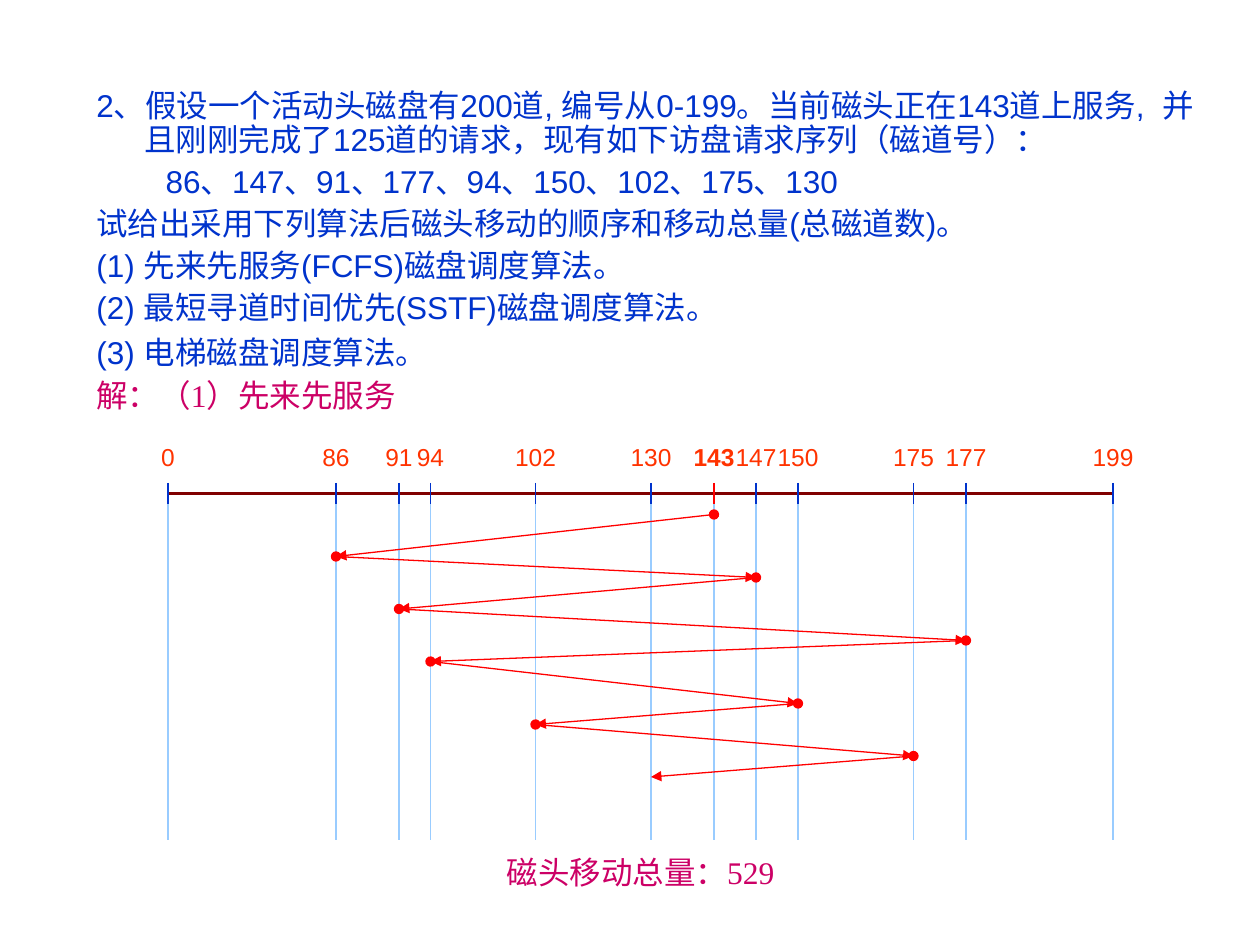
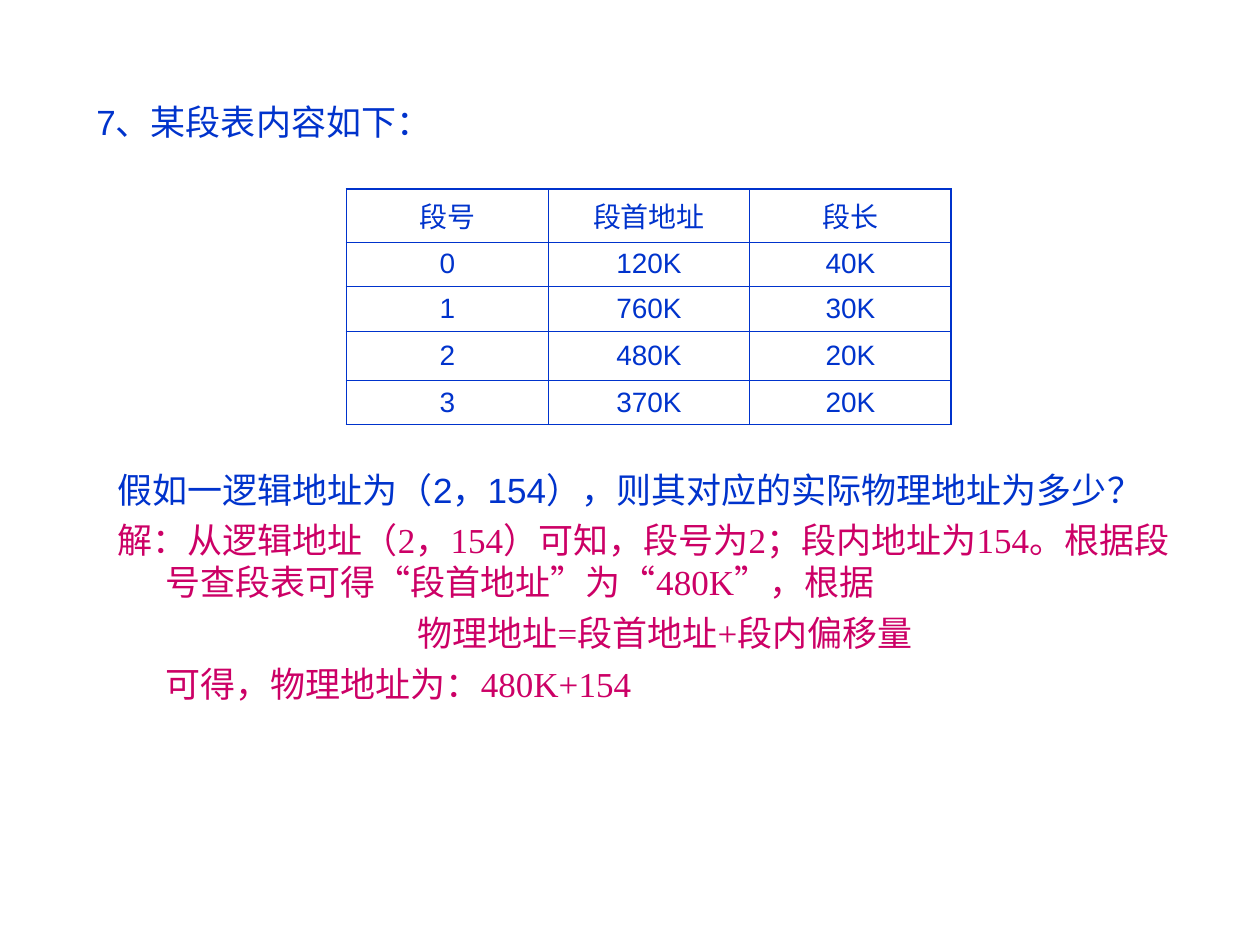
from dataclasses import dataclass
from itertools import pairwise

from lxml.etree import SubElement
from pptx import Presentation
from pptx.dml.color import RGBColor
from pptx.enum.shapes import MSO_CONNECTOR as Connector
from pptx.enum.text import MSO_ANCHOR as Anchor, PP_ALIGN as Align
from pptx.oxml import parse_xml
from pptx.oxml.ns import nsdecls, qn
from pptx.util import Emu, Inches, Pt

CELL = Inches(1) // 12  # the slide is a grid of 120 columns by 90 rows


@dataclass(frozen=True)
class Theme:
    question: str = "0033CC"
    answer: str = "CC0066"
    track_label: str = "FF3300"
    axis: str = "800000"
    guide: str = "99CCFF"
    head_move: str = "FF0000"
    question_font: str = "Arial"
    answer_font: str = "Times New Roman"
    large: int = 20
    body: int = 18
    table: int = 16
    label: int = 14
    hanging: float = 0.38
    cell_margin: float = 0.04
    hairline: float = 0.45
    thin: float = 0.75
    frame: float = 1.08
    thick: float = 2.25


THEME = Theme()
QUESTION = dict(color=THEME.question, font=THEME.question_font)
ANSWER = dict(color=THEME.answer, font=THEME.answer_font)


def grid(*cells):
    return [Emu(round(cell * CELL)) for cell in cells]


def write(paragraph, text, size, color, font, bold=False, align=Align.LEFT,
          margin=0, indent=0, before=0, spacing=1.0):
    properties = paragraph._p.get_or_add_pPr()
    properties.set("marL", str(Inches(margin)))
    properties.set("indent", str(Inches(indent)))
    properties.set("hangingPunct", "0")
    paragraph.alignment = align
    paragraph.space_before = Pt(before)
    paragraph.line_spacing = spacing
    run = paragraph.add_run()
    run.text = text
    run.font.size, run.font.name, run.font.bold = Pt(size), font, bold
    run.font.color.rgb = RGBColor.from_string(color)


def add_frame(slide, box, wrap=True, anchor=Anchor.TOP):
    frame = slide.shapes.add_textbox(*grid(*box)).text_frame
    frame.word_wrap = wrap
    frame.vertical_anchor = anchor
    return frame


def add_passage(slide, box, passages, **shared):
    """Fill a box with hanging paragraphs given as (text, format) pairs."""
    frame = add_frame(slide, box)
    hanging = dict(margin=THEME.hanging, indent=-THEME.hanging)
    for number, (text, special) in enumerate(passages):
        paragraph = frame.add_paragraph() if number else frame.paragraphs[0]
        look = hanging | shared | special
        if number == 0:
            look["before"] = 0
        write(paragraph, text, **look)


def add_caption(slide, box, text, **look):
    frame = add_frame(slide, box, wrap=False, anchor=Anchor.MIDDLE)
    write(frame.paragraphs[0], text, align=Align.CENTER, **look)


def add_line(slide, start, end, color, width=THEME.thin, head=None, tail=None):
    line = slide.shapes.add_connector(Connector.STRAIGHT, *grid(*start, *end))
    line.line.color.rgb = RGBColor.from_string(color)
    line.line.width = Pt(width)
    stroke = line.line._get_or_add_ln()
    for tag, kind in (("a:headEnd", head), ("a:tailEnd", tail)):
        if kind:
            SubElement(stroke, qn(tag), type=kind)
    SubElement(line._element.spPr, qn("a:effectLst"))


def add_seek_diagram(slide, box, tracks, visits, current):
    """Draw the track axis and the head's path; columns and rows count from the box."""
    left, top, width, height = box
    axis, tick_top, tick_bottom = top + 5, top + 4, top + 6
    add_line(slide, (left, axis), (left + width, axis), THEME.axis, THEME.thick)
    for track, column in tracks.items():
        x = left + column
        is_current = track == current
        add_line(slide, (x, tick_top), (x, tick_bottom),
                 THEME.head_move if is_current else THEME.question)
        add_line(slide, (x, tick_bottom), (x, top + height), THEME.guide)
        add_caption(slide, (x - 4, top, 8, 3), str(track), size=THEME.label,
                    color=THEME.track_label, font=THEME.question_font,
                    bold=is_current)
    stops = [(left + tracks[track], top + row) for track, row in visits]
    for start, end in pairwise(stops):
        add_line(slide, start, end, THEME.head_move, head="oval", tail="triangle")


def set_borders(cell, widths):
    """Give the cell's borders in the order left, right, top, bottom."""
    properties = cell._tc.get_or_add_tcPr()
    for place, (side, width) in enumerate(zip("LRTB", widths)):
        properties.insert(place, parse_xml(
            f'<a:ln{side} {nsdecls("a")} w="{Pt(width)}"><a:solidFill>'
            f'<a:srgbClr val="{THEME.question}"/></a:solidFill></a:ln{side}>'))


def add_segment_table(slide, box, records, row_heights):
    rows, columns = len(records), len(records[0])
    table = slide.shapes.add_table(rows, columns, *grid(*box)).table
    table.first_row = table.horz_banding = False
    for row, height in zip(table.rows, row_heights):
        row.height = Inches(height)
    for r, record in enumerate(records):
        for c, value in enumerate(record):
            cell = table.cell(r, c)
            cell.fill.background()
            cell.vertical_anchor = Anchor.MIDDLE
            cell.margin_top = cell.margin_bottom = Inches(THEME.cell_margin)
            write(cell.text_frame.paragraphs[0], value, size=THEME.table,
                  align=Align.CENTER, **QUESTION)
            at_edge = (c == 0, c == columns - 1, r == 0, r == rows - 1)
            set_borders(cell, [THEME.frame if edge else THEME.hairline
                               for edge in at_edge])


def build_disk_slide(slide):
    add_passage(slide, (8, 8, 108, 33), [
        ("2、假设一个活动头磁盘有200道, 编号从0-199。当前磁头正在143道上服务,  "
         "并且刚刚完成了125道的请求，现有如下访盘请求序列（磁道号）：", {}),
        ("86、147、91、177、94、150、102、175、130", dict(margin=0.55, indent=0)),
        ("试给出采用下列算法后磁头移动的顺序和移动总量(总磁道数)。", {}),
        ("(1) 先来先服务(FCFS)磁盘调度算法。", {}),
        ("(2) 最短寻道时间优先(SSTF)磁盘调度算法。", {}),
        ("(3) 电梯磁盘调度算法。", dict(before=6.5)),
        ("解：（1）先来先服务", ANSWER | dict(before=5)),
    ], size=THEME.body, before=4.5, spacing=0.9, **QUESTION)
    track_columns = {0: 0, 86: 16, 91: 22, 94: 25, 102: 35, 130: 46, 143: 52,
                     147: 56, 150: 60, 175: 71, 177: 76, 199: 90}
    visits = [(143, 7), (86, 11), (147, 13), (91, 16), (177, 19),
              (94, 21), (150, 25), (102, 27), (175, 30), (130, 32)]
    add_seek_diagram(slide, (16, 42, 90, 38), track_columns, visits, current=143)
    add_caption(slide, (28, 80, 66, 6), "磁头移动总量：529", size=THEME.body, **ANSWER)


def build_segment_slide(slide):
    passage = dict(size=THEME.large, before=5, **QUESTION)
    add_passage(slide, (8, 9, 109, 7), [("7、某段表内容如下：", {})], **passage)
    add_segment_table(slide, (33, 18, 57.6, 22.4), [
        ("段号", "段首地址", "段长"),
        ("0", "120K", "40K"),
        ("1", "760K", "30K"),
        ("2", "480K", "20K"),
        ("3", "370K", "20K"),
    ], row_heights=(0.42, 0.35, 0.36, 0.39, 0.35))
    add_passage(slide, (10, 44, 103, 33), [
        ("假如一逻辑地址为（2，154），则其对应的实际物理地址为多少？", {}),
        ("解：从逻辑地址（2，154）可知，段号为2；段内地址为154。"
         "根据段号查段表可得“段首地址”为“480K”，根据", ANSWER),
        ("物理地址=段首地址+段内偏移量",
         ANSWER | dict(margin=THEME.hanging + 2, indent=0)),
        ("可得，物理地址为：480K+154", ANSWER | dict(indent=0)),
    ], **passage)


def main():
    deck = Presentation()
    deck.slide_width, deck.slide_height = grid(120, 90)
    blank = deck.slide_layouts[6]
    for build in (build_disk_slide, build_segment_slide):
        build(deck.slides.add_slide(blank))
    deck.save("out.pptx")


if __name__ == "__main__":
    main()
